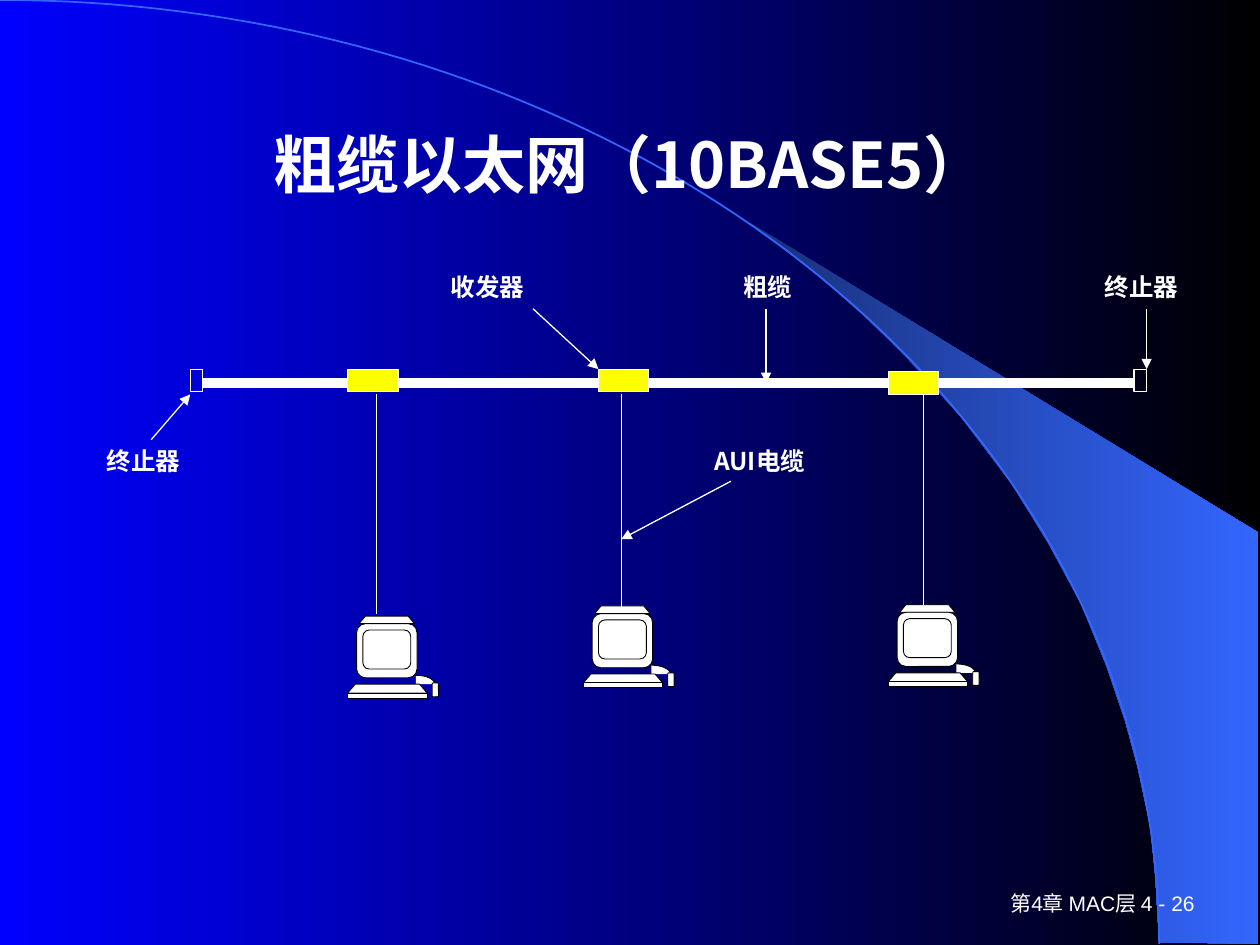
import math
import pptx
import pptx.util
import pptx.dml.color
import pptx.enum.shapes
import pptx.enum.text
import pptx.oxml.ns
import pptx.oxml.xmlchemy

HUE = {"blue": "0000FF", "black": "000000", "white": "FFFFFF",
       "gold": "FFFF00", "navy": "182F76", "sky": "3366FF"}
SANS, HAN = "Arial", "Noto Sans CJK SC"

HEAD = {"size": pptx.util.Pt(36), "bold": True, "name": HAN}
NOTE = {"size": pptx.util.Pt(14), "bold": True, "name": SANS}
FOOT = {"size": pptx.util.Pt(12), "bold": False, "name": SANS}

TEXTS = [
    ("第4章 MAC层 4 - 26", (7.5, 7, 2.08, 0.33), FOOT, "RIGHT", "MIDDLE"),
    ("粗缆以太网（10BASE5）", (0.75, 0.67, 8.5, 1.25), HEAD, "CENTER", "MIDDLE"),
    ("终止器", (0.75, 3.49, 0.86, 0.34), NOTE, "LEFT", "TOP"),
    ("终止器", (8.67, 2.11, 0.86, 0.34), NOTE, "LEFT", "TOP"),
    ("粗缆", (5.8, 2.11, 1.33, 0.34), NOTE, "LEFT", "TOP"),
    ("收发器", (3.48, 2.11, 1.65, 0.34), NOTE, "LEFT", "TOP"),
    ("AUI电缆", (5.57, 3.49, 1.58, 0.34), {**NOTE, "name": HAN}, "LEFT", "TOP"),
]
BEAM = [(9.2, 7.48), (9.99, 7.49), (9.99, 4.23), (5.89, 1.73), (6.24, 1.99),
        (6.53, 2.22), (6.85, 2.5), (7.16, 2.8), (7.62, 3.3), (8.03, 3.84),
        (8.32, 4.31), (8.58, 4.79), (8.78, 5.28), (8.93, 5.72),
        (9.03, 6.09), (9.13, 6.56), (9.17, 6.96)]
BUS = (1.61, 3.04, 9, 3.04)
ENDS = [1.51, 9]
TAPS = [(2.76, 2.93), (4.75, 2.93), (7.05, 2.95)]
HOSTS = [(2.76, 4.89), (7.05, 4.8), (4.63, 4.81)]
DROPS = [(2.99, 4.87), (4.93, 4.85), (7.33, 4.8)]
ARROWS = [(1.2, 3.49, 1.51, 3.13), (9.1, 2.45, 9.1, 2.93),
          (6.08, 2.45, 6.08, 3.04), (4.23, 2.45, 4.75, 2.93),
          (5.8, 3.82, 4.93, 4.28)]
KEYS = [(0, 0.61), (0.06, 0.54), (0.57, 0.54), (0.63, 0.61)]
LID = [(0.09, 0.06), (0.14, 0), (0.48, 0), (0.53, 0.06)]
BASE = (0, 0.61, 0.63, 0.04)
ROUNDS = [((0.67, 0.53, 0.05, 0.11), 0.15), ((0.07, 0.06, 0.48, 0.43), 0.165),
          ((0.12, 0.11, 0.38, 0.31), 0.165)]


def inch(num):
    return pptx.util.Cm(num * 2.54)


def tint(key):
    return pptx.dml.color.RGBColor.from_string(HUE[key])


def node(parent, tag, **marks):
    child = pptx.oxml.xmlchemy.OxmlElement(tag)
    for key, value in marks.items():
        child.set(key, value)
    parent.append(child)


def blend(fill, *keys):
    fill.gradient()
    fill.gradient_angle = 0
    for stop, key in zip(fill.gradient_stops, keys):
        stop.color.rgb = tint(key)


def paint(shape, fill=None, line=None, width=0.75):
    shape.shadow.inherit = False
    for part, key in ((shape.fill, fill), (shape.line.fill, line)):
        if key:
            part.solid()
            part.fore_color.rgb = tint(key)
        else:
            part.background()
    if line:
        shape.line.width = pptx.util.Pt(width)


def bow(mid, wide, high, steps):
    turns = [math.pi / 2 * i / steps for i in range(steps + 1)]
    return [(mid[0] + wide * math.sin(t), mid[1] - high * math.cos(t)) for t in turns]


def trace(shapes, dots, close=True, base=(0, 0)):
    spots = [(inch(x + base[0]), inch(y + base[1])) for x, y in dots]
    form = shapes.build_freeform(*spots[0], scale=1.0)
    form.add_line_segments(spots[1:], close=close)
    return form.convert_to_shape()


def block(shapes, box, base=(0, 0), curve=None):
    kind = pptx.enum.shapes.MSO_SHAPE
    x, y, wide, high = box
    shape = shapes.add_shape(kind.ROUNDED_RECTANGLE if curve else kind.RECTANGLE,
                             inch(x + base[0]), inch(y + base[1]), inch(wide), inch(high))
    if curve:
        shape.adjustments[0] = curve
    return shape


def wire(shapes, ends, width=0.75, arrow=False):
    line = shapes.add_connector(pptx.enum.shapes.MSO_CONNECTOR.STRAIGHT, *map(inch, ends))
    line.line.fill.solid()
    line.line.fill.fore_color.rgb = tint("white")
    line.line.width = pptx.util.Pt(width)
    props = line.element.spPr
    if arrow:
        node(props.find(pptx.oxml.ns.qn("a:ln")), "a:tailEnd", type="triangle")
    node(props, "a:effectLst")


def host(shapes, base):
    group = shapes.add_group_shape().shapes
    cord = bow((0.54, 0.54), 0.15, 0.07, 12)
    paint(trace(group, cord + [(0.54, 0.54)], base=base), "white")
    paint(trace(group, cord, False, base), None, "black", 0.5)
    parts = [trace(group, dots, base=base) for dots in (KEYS, LID)]
    parts.append(block(group, BASE, base))
    parts += [block(group, box, base, curve) for box, curve in ROUNDS]
    for part in parts:
        paint(part, "white", "black", 0.5)


def write(shapes, words, box, style, align, anchor):
    frame = shapes.add_textbox(*map(inch, box)).text_frame
    frame.word_wrap = True
    frame.vertical_anchor = getattr(pptx.enum.text.MSO_ANCHOR, anchor)
    para = frame.paragraphs[0]
    para.alignment = getattr(pptx.enum.text.PP_ALIGN, align)
    run = para.add_run()
    run.text = words
    for key, value in style.items():
        setattr(run.font, key, value)
    run.font.color.rgb = tint("white")
    node(run._r.get_or_add_rPr(), "a:ea", typeface=HAN)


def main():
    deck = pptx.Presentation()
    deck.slide_width, deck.slide_height = inch(10), inch(7.5)
    slide = deck.slides.add_slide(deck.slide_layouts[6])
    blend(slide.background.fill, "blue", "black")
    shapes = slide.shapes

    beam = trace(shapes, BEAM)
    paint(beam)
    blend(beam.fill, "navy", "sky")
    paint(trace(shapes, bow((0, 7.49), 9.2, 7.49, 80), False), None, "sky", 1)

    wire(shapes, BUS, 6)
    for x in ENDS:
        paint(block(shapes, (x, 2.93, 0.1, 0.18)), None, "white")
    for x, y in TAPS:
        paint(block(shapes, (x, y, 0.4, 0.18)), "gold", "white")
    for base in HOSTS:
        host(shapes, base)
    for x, end in DROPS:
        wire(shapes, (x, 3.13, x, end))
    for ends in ARROWS:
        wire(shapes, ends, arrow=True)
    for item in TEXTS:
        write(shapes, *item)
    deck.save("out.pptx")


if __name__ == "__main__":
    main()
